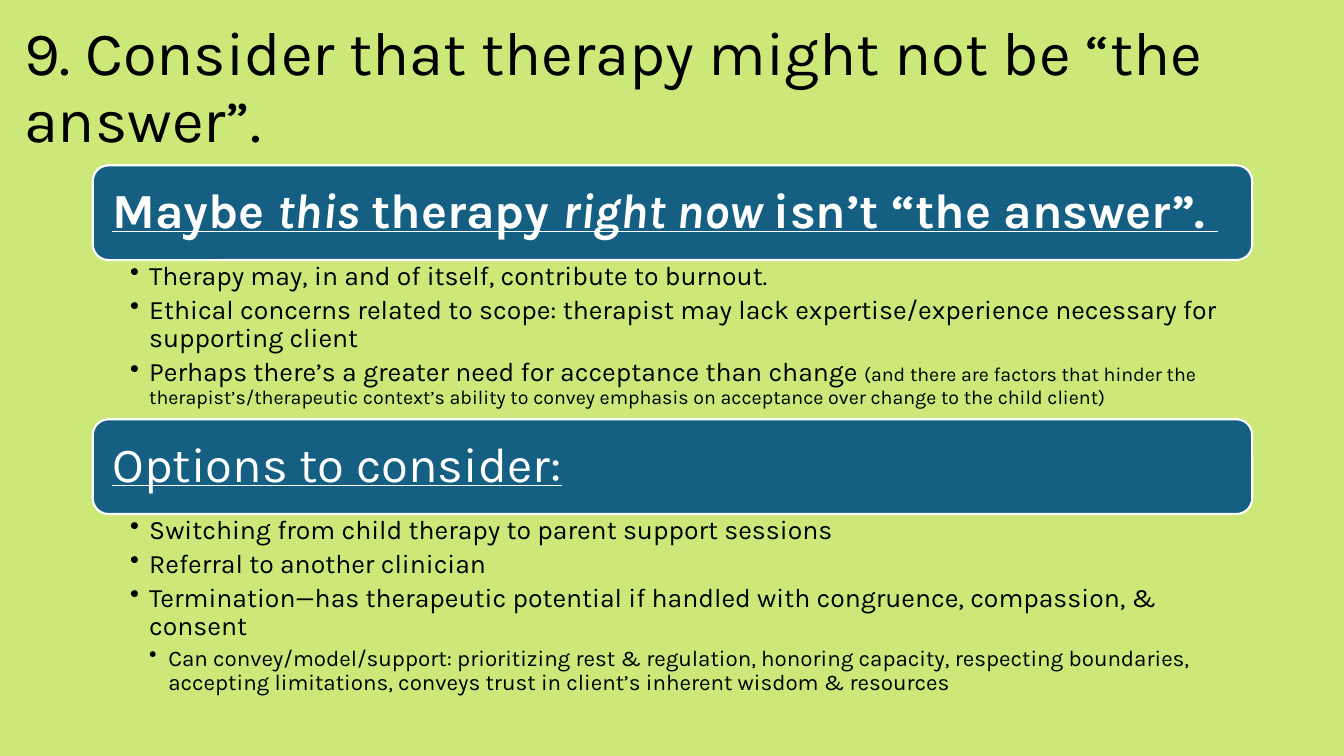
"""Build a slide on when therapy might not be the answer."""
from lxml.etree import SubElement
from pptx import Presentation
from pptx.dml.color import RGBColor as RGB
from pptx.enum.shapes import MSO_SHAPE as SHAPE
from pptx.enum.text import MSO_ANCHOR as ANCHOR, PP_ALIGN as ALIGN
from pptx.oxml.ns import qn
from pptx.util import Pt

PX = 9144
HUES = {"back": "CBE879", "bar": "156082", "ink": "000000", "white": "FFFFFF"}
LEFT, WIDE, BAR = 92, 1150, 94
STEP = 19

SECTIONS = [
    (164, 158, [
        ("Maybe ", {"bold": True}),
        ("this ", {"bold": True, "italic": True}),
        ("therapy ", {"bold": True}),
        ("right now ", {"bold": True, "italic": True}),
        ("isn’t “the answer”. ", {"bold": True}),
    ], [
        (1, [("Therapy may, in and of itself, contribute to burnout.", {})]),
        (1, [("Ethical concerns related to scope: therapist may lack "
              "expertise/experience necessary for supporting client", {})]),
        (1, [("Perhaps there’s a greater need for acceptance than change ", {}),
             ("(and there are factors that hinder the therapist’s/therapeutic "
              "context’s ability to convey emphasis on acceptance over change "
              "to the child client)", {"size": Pt(14)})]),
    ]),
    (416, 162, [("Options to consider:", {})], [
        (1, [("Switching from child therapy to parent support sessions", {})]),
        (1, [("Referral to another clinician", {})]),
        (1, [("Termination—has therapeutic potential if handled with "
              "congruence, compassion, & consent", {})]),
        (2, [("Can convey/model/support: prioritizing rest & regulation, "
              "honoring capacity, respecting boundaries, accepting "
              "limitations, conveys trust in client’s inherent wisdom & "
              "resources", {"size": Pt(16)})]),
    ]),
]


class Deck:
    """Hold the style and the current slide."""

    def __init__(self, wide, high):
        self.prs = Presentation()
        self.prs.slide_width, self.prs.slide_height = wide * PX, high * PX
        self.font = "Karla"
        self.slide = self.prs.slides.add_slide(self.prs.slide_layouts[6])
        self.paint(self.slide.background.fill, "back")

    def paint(self, fill, hue):
        fill.solid()
        fill.fore_color.rgb = RGB.from_string(HUES[hue])

    def frame(self, shape, pads, anchor):
        frame = shape.text_frame
        sides = [f"margin_{side}" for side in ("left", "top", "right", "bottom")]
        look = dict(zip(sides, [pad * PX for pad in pads]),
                    word_wrap=True, vertical_anchor=anchor)
        for name, value in look.items():
            setattr(frame, name, value)
        return frame

    def words(self, para, runs, size, hue, **base):
        para.line_spacing = 0.9
        para.alignment = ALIGN.LEFT
        for text, extra in runs:
            run = para.add_run()
            run.text = text
            look = {"name": self.font, "size": Pt(size), **base, **extra}
            for name, value in look.items():
                setattr(run.font, name, value)
            run.font.color.rgb = RGB.from_string(HUES[hue])

    def box(self, x, y, w, h):
        return self.slide.shapes.add_textbox(x * PX, y * PX, w * PX, h * PX)

    def title(self, text, x, y, w, h):
        frame = self.frame(self.box(x, y, w, h), (10, 5, 10, 5), ANCHOR.MIDDLE)
        self.words(frame.paragraphs[0], [(text, {})], 44, "ink")

    def bar(self, runs, x, y, w, h):
        bar = self.slide.shapes.add_shape(
            SHAPE.ROUNDED_RECTANGLE, x * PX, y * PX, w * PX, h * PX)
        bar.shadow.inherit = False
        self.paint(bar.fill, "bar")
        self.paint(bar.line.fill, "white")
        bar.line.width = Pt(1.5)
        frame = self.frame(bar, (15, 15, 15, 15), ANCHOR.MIDDLE)
        self.words(frame.paragraphs[0], runs, 35, "white", underline=True)

    def bullets(self, items, x, y, w, h):
        frame = self.frame(self.box(x, y, w, h), (37, 2, 13, 2), ANCHOR.TOP)
        for i, (level, runs) in enumerate(items):
            para = frame.add_paragraph() if i else frame.paragraphs[0]
            para.level = level
            para.space_after = Pt(3.8)
            self.words(para, runs, 19, "ink")
            props = para._p.get_or_add_pPr()
            props.set("marL", str(level * STEP * PX))
            props.set("indent", str(-STEP * PX))
            SubElement(props, qn("a:buChar")).set("char", "•")


def main():
    deck = Deck(1333, 750)
    deck.title("9. Consider that therapy might not be “the answer”.",
               14, 16, 1285, 145)
    for top, high, head, items in SECTIONS:
        deck.bar(head, LEFT, top, WIDE, BAR)
        deck.bullets(items, LEFT, top + BAR, WIDE, high)
    deck.prs.save("out.pptx")


if __name__ == "__main__":
    main()
